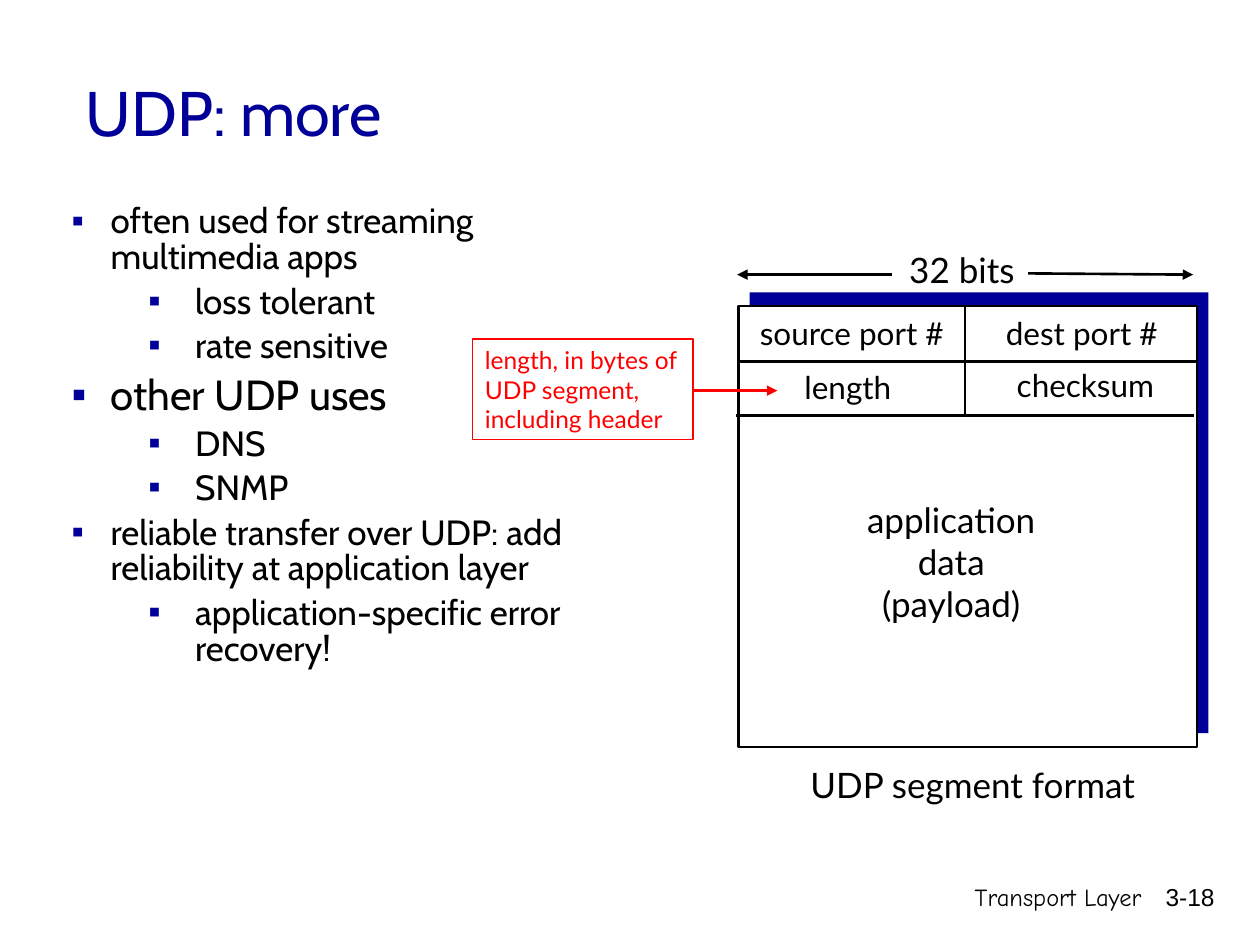
from dataclasses import dataclass

from lxml.etree import SubElement
from pptx import Presentation
from pptx.dml.color import RGBColor
from pptx.enum.shapes import MSO_CONNECTOR, MSO_SHAPE
from pptx.enum.text import MSO_ANCHOR, PP_ALIGN
from pptx.oxml.ns import qn
from pptx.util import Emu, Pt

SCALE = 9144  # EMU in one px, 100 px to the inch
HEX = {"navy": "000099", "black": "000000", "white": "FFFFFF", "red": "FF0000"}


@dataclass
class Box:
    x: int
    y: int
    w: int
    h: int


@dataclass
class Label:
    text: str
    box: Box
    size: int = 20
    font: str = "Lato"
    align: PP_ALIGN = PP_ALIGN.CENTER
    pads: tuple = (10, 5, 10, 5)
    wrap: bool = False


@dataclass
class Line:
    x1: int
    y1: int
    x2: int
    y2: int
    color: str = "black"
    width: float = 1.5
    arrow: bool = False


@dataclass
class Point:
    text: str
    level: int = 0
    size: int = 20


def px(n: int) -> Emu:
    return Emu(n * SCALE)


def rgb(name: str) -> RGBColor:
    return RGBColor.from_string(HEX[name])


def area(box: Box) -> tuple:
    return px(box.x), px(box.y), px(box.w), px(box.h)


def style(para, size: int, font: str, color: str = "black") -> None:
    para.font.size = Pt(size)
    para.font.name = font
    para.font.color.rgb = rgb(color)


def pad(frame, pads: tuple) -> None:
    (frame.margin_left, frame.margin_top,
     frame.margin_right, frame.margin_bottom) = map(px, pads)


def add_label(slide, item: Label) -> None:
    frame = slide.shapes.add_textbox(*area(item.box)).text_frame
    pad(frame, item.pads)
    frame.word_wrap = item.wrap
    frame.text = item.text
    for para in frame.paragraphs:
        para.alignment = item.align
        style(para, item.size, item.font)


def add_rect(slide, box: Box, fill: str = "", line: str = "", width: float = 0):
    shape = slide.shapes.add_shape(MSO_SHAPE.RECTANGLE, *area(box))
    shape.shadow.inherit = False
    if fill:
        shape.fill.solid()
        shape.fill.fore_color.rgb = rgb(fill)
    else:
        shape.fill.background()
    if line:
        shape.line.color.rgb = rgb(line)
        shape.line.width = Pt(width)
    else:
        shape.line.fill.background()
    return shape


def add_line(slide, item: Line) -> None:
    ends = map(px, (item.x1, item.y1, item.x2, item.y2))
    line = slide.shapes.add_connector(MSO_CONNECTOR.STRAIGHT, *ends)
    line.line.color.rgb = rgb(item.color)
    line.line.width = Pt(item.width)
    if item.arrow:
        SubElement(line.line._get_or_add_ln(), qn("a:tailEnd"), type="triangle")
    SubElement(line._element.spPr, qn("a:effectLst"))


def add_points(slide, box: Box, points: list) -> None:
    frame = slide.shapes.add_textbox(*area(box)).text_frame
    frame.word_wrap = True
    pad(frame, (10, 5, 14, 5))
    for i, point in enumerate(points):
        para = frame.paragraphs[0] if i == 0 else frame.add_paragraph()
        para.text = point.text
        para.level = point.level
        para.line_spacing = 0.85
        para.space_before = Pt(point.size // 4 if i else 0)
        left, hang = ((31, 31), (98, 37))[point.level]
        props = para._p.get_or_add_pPr()
        props.set("marL", str(px(left)))
        props.set("indent", str(-px(hang)))
        tint = SubElement(props, qn("a:buClr"))
        SubElement(tint, qn("a:srgbClr"), val=HEX["navy"])
        SubElement(props, qn("a:buFont"), typeface="Arial")
        SubElement(props, qn("a:buChar"), char="▪")
        style(para, point.size, "Cabin")


POINTS = [
    Point("often used for streaming multimedia apps"),
    Point("loss tolerant", 1),
    Point("rate sensitive", 1),
    Point("other UDP uses", 0, 24),
    Point("DNS", 1),
    Point("SNMP", 1),
    Point("reliable transfer over UDP: add reliability at application layer"),
    Point("application-specific error recovery!", 1),
]
LABELS = [
    Label("source port #", Box(587, 244, 178, 40), 18),
    Label("dest port #", Box(784, 244, 149, 40), 18),
    Label("length", Box(625, 287, 96, 40), 18),
    Label("checksum", Box(793, 286, 137, 40), 18),
    Label("32 bits", Box(710, 192, 107, 44)),
    Label("application\ndata\n(payload)", Box(673, 391, 164, 110)),
    Label("UDP segment format", Box(624, 601, 296, 44)),
]
FOOTER = [
    Label("Transport Layer", Box(592, 700, 318, 38), 14, "Comic Neue",
          PP_ALIGN.RIGHT, (0, 0, 4, 0), True),
    Label("3-18", Box(893, 700, 75, 33), 14, "Arial",
          PP_ALIGN.RIGHT, (0, 0, 4, 0), True),
]
LINES = [
    # Row and column rules of the header
    Line(585, 287, 949, 287),
    Line(584, 330, 948, 330),
    Line(766, 243, 766, 331),
    # Width arrows
    Line(816, 217, 947, 218, arrow=True),
    Line(708, 218, 585, 218, arrow=True),
    # Pointer from the note to the length field
    Line(550, 310, 617, 310, "red", 2, True),
]


def main() -> None:
    deck = Presentation()
    deck.slide_width, deck.slide_height = px(1000), px(750)
    slide = deck.slides.add_slide(deck.slide_layouts[5])

    # Title
    title = slide.shapes.title
    title.left, title.top, title.width, title.height = area(Box(58, 17, 912, 142))
    frame = title.text_frame
    frame.text = "UDP: more"
    frame.vertical_anchor = MSO_ANCHOR.MIDDLE
    pad(frame, (10, 5, 14, 5))
    frame.paragraphs[0].alignment = PP_ALIGN.LEFT
    style(frame.paragraphs[0], 36, "Cabin", "navy")

    # Bullet list
    add_points(slide, Box(47, 158, 417, 592), POINTS)

    # Segment with its offset backing
    add_rect(slide, Box(595, 232, 364, 350), "navy")
    add_rect(slide, Box(586, 243, 364, 350), "white", "black", 1.5)
    for item in LABELS + FOOTER:
        add_label(slide, item)

    # Note on the length field
    note = add_rect(slide, Box(375, 269, 175, 80), "", "red", 0.75).text_frame
    note.word_wrap = True
    note.text = "length, in bytes of UDP segment, including header"
    note.vertical_anchor = MSO_ANCHOR.TOP
    pad(note, (10, 5, 10, 5))
    note.paragraphs[0].alignment = PP_ALIGN.LEFT
    style(note.paragraphs[0], 14, "Lato", "red")

    for item in LINES:
        add_line(slide, item)
    deck.save("out.pptx")


if __name__ == "__main__":
    main()
